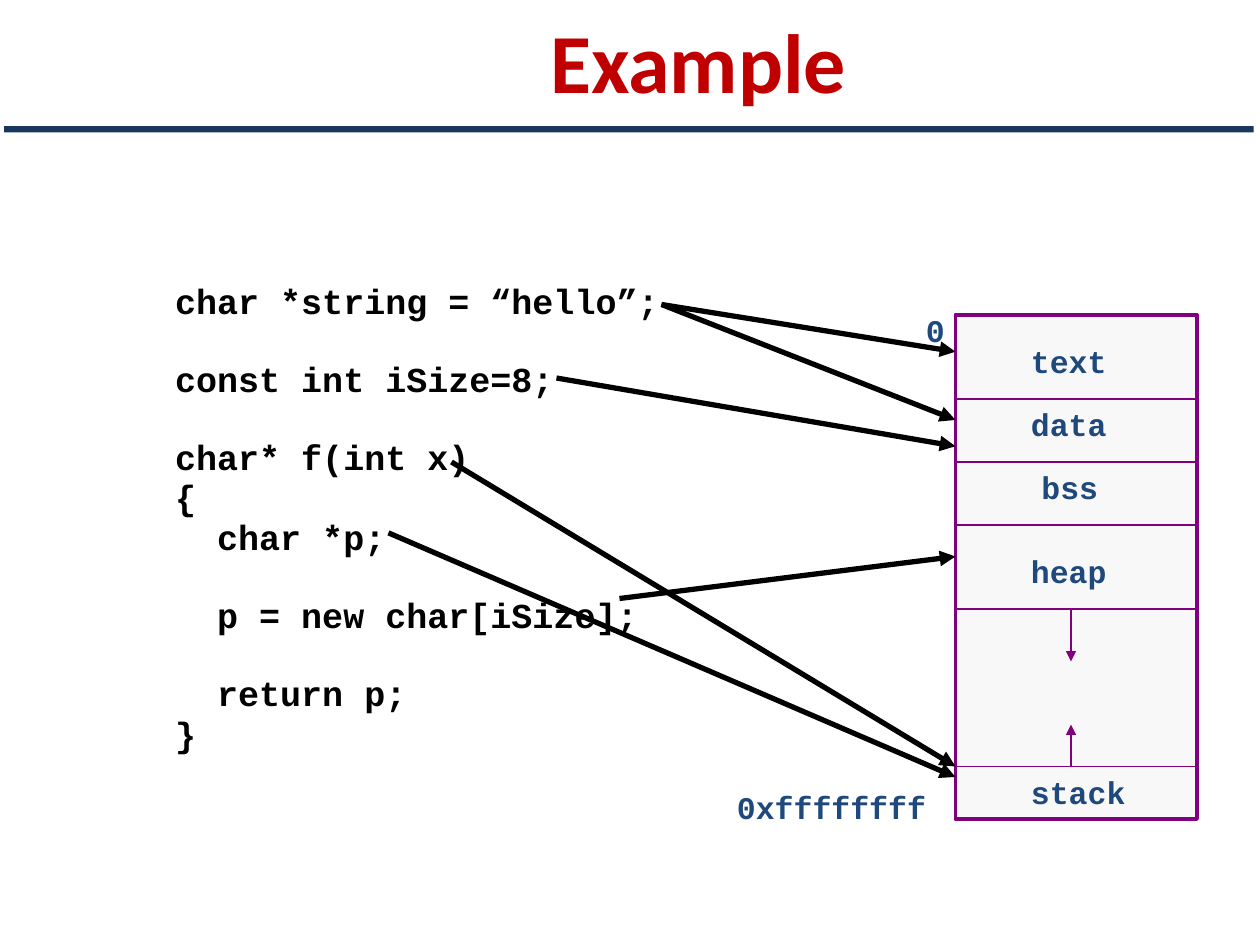
from lxml.etree import SubElement
from pptx import Presentation
from pptx.dml.color import RGBColor
from pptx.enum.shapes import MSO_CONNECTOR as Connector, MSO_SHAPE as Preset
from pptx.enum.text import MSO_ANCHOR as Anchor, PP_ALIGN as Align
from pptx.oxml.ns import qn
from pptx.util import Inches, Pt

BLACK = RGBColor(0x00, 0x00, 0x00)
RED = RGBColor(0xC0, 0x00, 0x00)
NAVY = RGBColor(0x17, 0x37, 0x5E)
BLUE = RGBColor(0x1F, 0x49, 0x7D)
PURPLE = RGBColor(0x80, 0x00, 0x80)
PALE = RGBColor(0xF8, 0xF8, 0xF8)

COLUMNS, ROWS = 120, 90
CELL = Inches(10) // COLUMNS
MEMORY_LEFT, MEMORY_RIGHT, MEMORY_TOP = 91, 114, 30
ARROW_COLUMN = 102

CODE_BLOCKS = [
    ["char *string = “hello”;"],
    ["const int iSize=8;"],
    ["char* f(int x)", "{", "  char *p;"],
    ["  p = new char[iSize];"],
    ["  return p;", "}"],
]
SEGMENTS = [("text", 97, 38), ("data", 97, 44), ("bss", 98, 50),
            ("heap", 97, 58), (None, 0, 73), ("stack", 97, 78)]
POINTERS = [
    ((63, 29), (MEMORY_LEFT, 40)),
    ((53, 36), (MEMORY_LEFT, 42.5)),
    ((37, 50.75), (MEMORY_LEFT, 74)),
    ((59, 57), (MEMORY_LEFT, 53)),
    ((43, 44), (MEMORY_LEFT, 73)),
    ((63, 29), (MEMORY_LEFT, 33.5)),
]


def grid(*cells):
    """Turn grid counts into lengths."""
    return [int(CELL * count) for count in cells]


def style(paragraph, name, size, color):
    """Set the bold font of a whole paragraph."""
    font = paragraph.font
    font.name, font.size, font.bold = name, Pt(size), True
    font.color.rgb = color


def add_text(slide, box, text, name="Courier New", size=18, color=BLUE, wrap=True):
    """Add a one-paragraph text box and return its frame."""
    frame = slide.shapes.add_textbox(*grid(*box)).text_frame
    frame.word_wrap = wrap
    paragraph = frame.paragraphs[0]
    paragraph.text = text
    style(paragraph, name, size, color)
    return frame


def add_code(slide, box):
    """Add the program, with wider spacing between its blocks."""
    frame = slide.shapes.add_textbox(*grid(*box)).text_frame
    frame.word_wrap = True
    lines = [(line, 23 if index == 0 else 1.3)
             for block in CODE_BLOCKS for index, line in enumerate(block)]
    for number, (line, gap) in enumerate(lines):
        paragraph = frame.add_paragraph() if number else frame.paragraphs[0]
        paragraph.text = line
        paragraph.line_spacing = 0.9
        paragraph.space_before = Pt(gap if number else 0)
        style(paragraph, "Courier New", 20, BLACK)


def add_rectangle(slide, box, fill, line=None):
    """Add a flat rectangle with an optional outline colour."""
    shape = slide.shapes.add_shape(Preset.RECTANGLE, *grid(*box))
    shape.shadow.inherit = False
    shape.fill.solid()
    shape.fill.fore_color.rgb = fill
    if line is None:
        shape.line.fill.background()
    else:
        shape.line.color.rgb = line
        shape.line.width = Pt(2.25)


def add_line(slide, start, end, color=PURPLE, width=0.75, arrow=True):
    """Add a straight line, by default with an arrowhead at its end."""
    connector = slide.shapes.add_connector(Connector.STRAIGHT, *grid(*start, *end))
    connector.line.color.rgb = color
    connector.line.width = Pt(width)
    if arrow:
        SubElement(connector.line._get_or_add_ln(), qn("a:tailEnd"), type="triangle")
    SubElement(connector._element.spPr, qn("a:effectLst"))


def add_memory(slide):
    """Add the memory map with its segments, growth arrows and addresses."""
    bottom = SEGMENTS[-1][2]
    add_rectangle(slide, (MEMORY_LEFT, MEMORY_TOP, MEMORY_RIGHT - MEMORY_LEFT,
                          bottom - MEMORY_TOP), PALE, PURPLE)
    for label, column, end in SEGMENTS:
        if label:
            top = end - (5 if end == bottom else 6)
            add_text(slide, (column, top, 15, 5), label)
        if end < bottom:
            add_line(slide, (MEMORY_LEFT, end), (MEMORY_RIGHT, end), arrow=False)
    add_line(slide, (ARROW_COLUMN, 58), (ARROW_COLUMN, 63))
    add_line(slide, (ARROW_COLUMN, 73), (ARROW_COLUMN, 69))
    add_text(slide, (87, 29, 5, 5), "0")
    add_text(slide, (69, 74.5, 22.5, 5), "0xffffffff", wrap=False)


def main():
    """Build the slide and save it."""
    presentation = Presentation()
    presentation.slide_width, presentation.slide_height = grid(COLUMNS, ROWS)
    slide = presentation.slides.add_slide(presentation.slide_layouts[6])
    title = add_text(slide, (13, 0, 107, 11.5), "Example", "Calibri", 48, RED)
    title.vertical_anchor = Anchor.MIDDLE
    title.paragraphs[0].alignment = Align.CENTER
    add_code(slide, (15.5, 26.5, 71.5, 54))
    add_memory(slide)
    for start, end in POINTERS:
        add_line(slide, start, end, BLACK, 3)
    add_rectangle(slide, (0.4, 12, 119, 0.6), NAVY)
    presentation.save("out.pptx")


if __name__ == "__main__":
    main()
